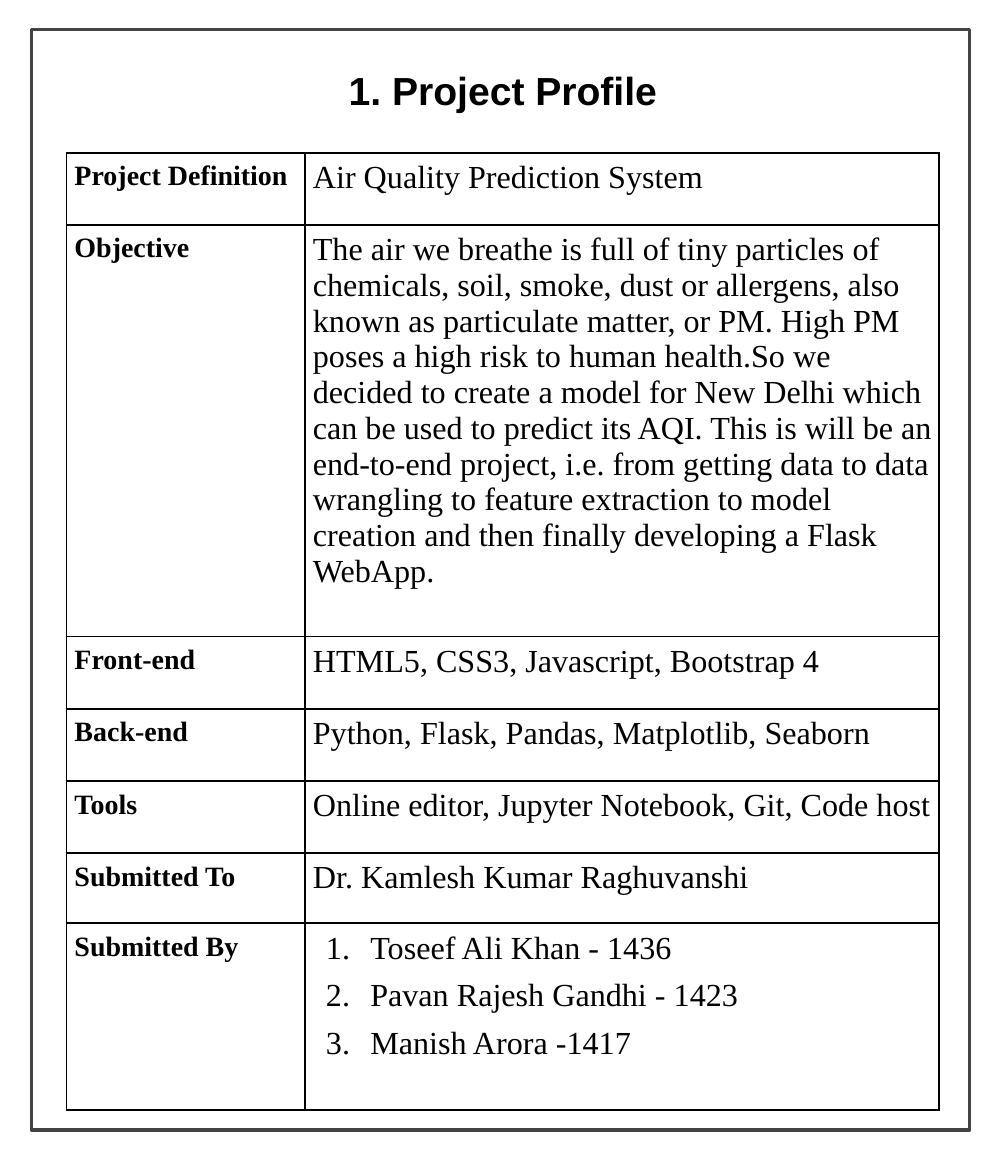
import pptx
import pptx.dml.color
import pptx.enum.shapes
import pptx.enum.text
import pptx.oxml
import pptx.oxml.ns
import pptx.util
from pptx.util import Cm

BLACK = pptx.dml.color.RGBColor(0x00, 0x00, 0x00)
FRAME_GREY = pptx.dml.color.RGBColor(0x43, 0x43, 0x43)
ALIGN = pptx.enum.text.PP_ALIGN
ANCHOR = pptx.enum.text.MSO_ANCHOR
BORDER_WIDTH = pptx.util.Pt(1.5)
TEXT_INDENT = Cm(0.2)

TITLE_FONT = {"name": "Arial", "size": pptx.util.Pt(28), "bold": True}
LABEL_FONT = {"name": "Times New Roman", "size": pptx.util.Pt(20), "bold": True}
VALUE_FONT = {"name": "Times New Roman", "size": pptx.util.Pt(23), "bold": False}

# label, row height in cm, paragraphs of the value
PROFILE = [
    ("Project Definition", 1.82, ["Air Quality Prediction System"]),
    ("Objective", 10.39, [
        "The air we breathe is full of tiny particles of chemicals, soil, smoke, "
        "dust or allergens, also known as particulate matter, or PM. High PM poses "
        "a high risk to human health.So we decided to create a model for New Delhi "
        "which can be used to predict its AQI. This is will be an end-to-end "
        "project, i.e. from getting data to data wrangling to feature extraction "
        "to model creation and then finally developing a Flask WebApp."]),
    ("Front-end", 1.83, ["HTML5, CSS3, Javascript, Bootstrap 4"]),
    ("Back-end", 1.82, ["Python, Flask, Pandas, Matplotlib, Seaborn"]),
    ("Tools", 1.82, ["Online editor, Jupyter Notebook, Git, Code host"]),
    ("Submitted To", 1.77, ["Dr. Kamlesh Kumar Raghuvanshi"]),
    ("Submitted By", 4.72, ["Toseef Ali Khan - 1436",
                            "Pavan Rajesh Gandhi - 1423",
                            "Manish Arora -1417"]),
]
COLUMN_WIDTHS = [Cm(6.02), Cm(16)]


def write(paragraph, text, font_format):
    run = paragraph.add_run()
    run.text = text
    run.font.color.rgb = BLACK
    for attribute, value in font_format.items():
        setattr(run.font, attribute, value)


def set_indent(paragraph, left, first=0, numbered=False):
    """Set left margin and first-line indent, with 1. 2. 3. if numbered."""
    properties = paragraph._p.get_or_add_pPr()
    properties.set("marL", str(left))
    properties.set("indent", str(first))
    if numbered:
        colour = pptx.oxml.parse_xml(
            f'<a:buClr {pptx.oxml.ns.nsdecls("a")}><a:srgbClr val="{BLACK}"/></a:buClr>')
        number = pptx.oxml.parse_xml(
            f'<a:buAutoNum {pptx.oxml.ns.nsdecls("a")} type="arabicPeriod"/>')
        properties.extend([colour, number])


presentation = pptx.Presentation()
presentation.slide_width = Cm(25.4)
presentation.slide_height = Cm(29.69)
slide = presentation.slides.add_slide(presentation.slide_layouts[5])

# Page frame
frame = slide.shapes.add_shape(pptx.enum.shapes.MSO_SHAPE.RECTANGLE,
                               Cm(0.79), Cm(0.74), Cm(23.7), Cm(27.79))
frame.shadow.inherit = False
frame.fill.background()
frame.line.color.rgb = FRAME_GREY
frame.line.width = pptx.util.Pt(2.25)

# Title
title = slide.shapes.title
title.left, title.top, title.width, title.height = Cm(8.76), Cm(1.65), Cm(7.87), Cm(1.24)
title_format = {"margin_left": 0, "margin_top": Cm(0.03), "margin_right": 0,
                "margin_bottom": 0, "word_wrap": False, "vertical_anchor": ANCHOR.TOP,
                "auto_size": pptx.enum.text.MSO_AUTO_SIZE.NONE}
for attribute, value in title_format.items():
    setattr(title.text_frame, attribute, value)
heading = title.text_frame.paragraphs[0]
heading.alignment = ALIGN.CENTER
write(heading, "1. Project Profile", TITLE_FONT)

# Profile table
table_height = Cm(sum(height for _, height, _ in PROFILE))
profile = slide.shapes.add_table(len(PROFILE), 2, Cm(1.68), Cm(3.86),
                                 sum(COLUMN_WIDTHS), table_height).table
profile.first_row = False
profile.horz_banding = False
for column, width in zip(profile.columns, COLUMN_WIDTHS):
    column.width = width

for row, (label, height, values) in zip(profile.rows, PROFILE):
    row.height = Cm(height)
    label_cell, value_cell = row.cells

    for cell, top_margin in ((label_cell, Cm(0.2)), (value_cell, Cm(0.18))):
        cell_format = {"margin_left": 0, "margin_top": top_margin, "margin_right": 0,
                       "margin_bottom": 0, "vertical_anchor": ANCHOR.TOP}
        for attribute, value in cell_format.items():
            setattr(cell, attribute, value)
        for side in ("lnL", "lnR", "lnT", "lnB"):
            cell._tc.get_or_add_tcPr().append(pptx.oxml.parse_xml(
                f'<a:{side} {pptx.oxml.ns.nsdecls("a")} w="{BORDER_WIDTH}"><a:solidFill>'
                f'<a:srgbClr val="{BLACK}"/></a:solidFill></a:{side}>'))
        cell.fill.background()

    label_paragraph = label_cell.text_frame.paragraphs[0]
    set_indent(label_paragraph, TEXT_INDENT)
    write(label_paragraph, label, LABEL_FONT)

    for index, text in enumerate(values):
        text_frame = value_cell.text_frame
        paragraph = text_frame.add_paragraph() if index else text_frame.paragraphs[0]
        if len(values) > 1:
            set_indent(paragraph, Cm(1.65), Cm(-1.12), numbered=True)
        else:
            set_indent(paragraph, TEXT_INDENT)
        if index:
            paragraph.space_before = pptx.util.Pt(8.4)
        write(paragraph, text, VALUE_FONT)

presentation.save("out.pptx")
